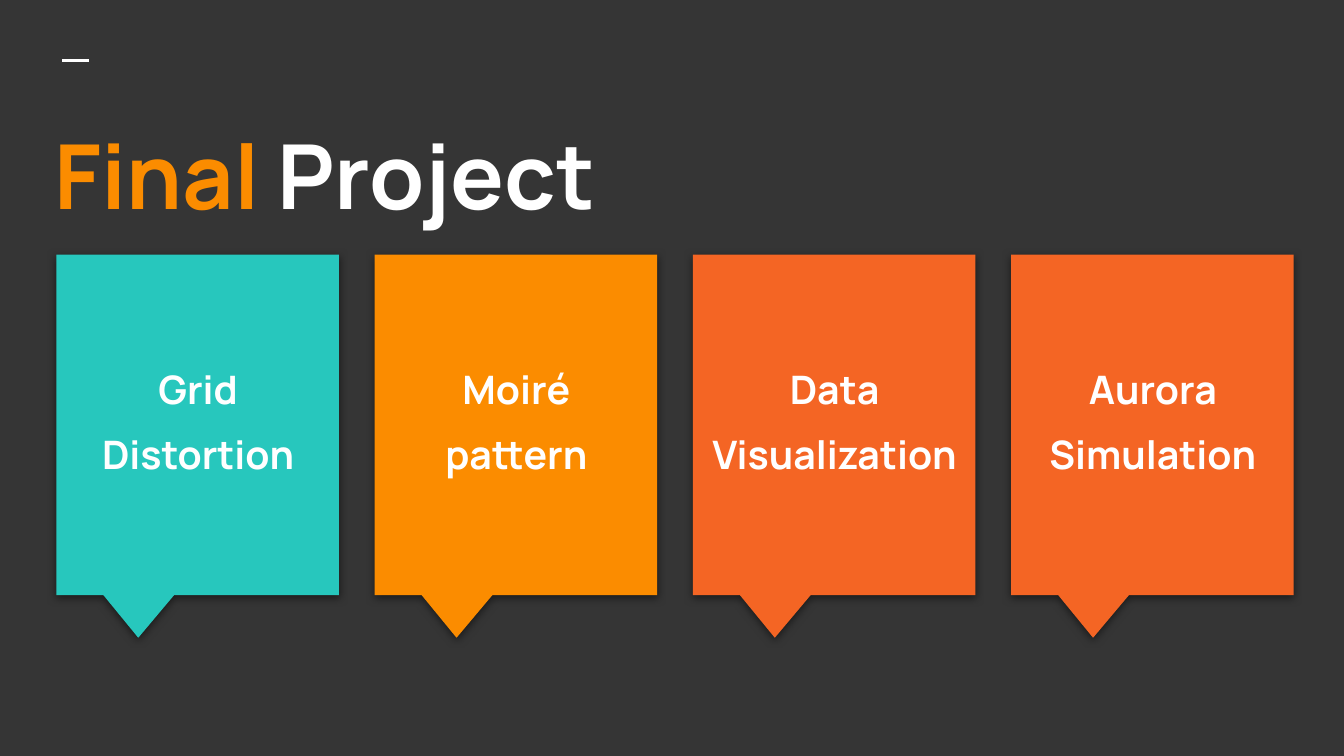
import pptx
import pptx.dml.color
import pptx.enum.dml
import pptx.enum.shapes
import pptx.enum.text
import pptx.oxml
import pptx.oxml.ns
import pptx.util

Pt = pptx.util.Pt
ANCHOR = pptx.enum.text.MSO_ANCHOR
FONT = "Manrope"
WHITE = "FFFFFF"
ORANGE = "FB8C00"
CARDS = [
    ("Grid", "Distortion", "27C7BD"),
    ("Moiré", "pattern", ORANGE),
    ("Data", "Visualization", "F46524"),
    ("Aurora", "Simulation", "F46524"),
]
CARD_LEFT, CARD_TOP, CARD_WIDTH, CARD_HEIGHT = 30.25, 136.4, 151.25, 182.5
CARD_PITCH = 170.5
LABEL_TOP, LABEL_WIDTH, LABEL_HEIGHT = 191.5, 206.6, 72.7
LABEL_SHIFT = -27.4


def rgb(value):
    return pptx.dml.color.RGBColor.from_string(value)


def add_effects(sp, content=""):
    ns = pptx.oxml.ns.nsdecls("a")
    xml = f"<a:effectLst {ns}>{content}</a:effectLst>"
    sp._element.spPr.append(pptx.oxml.parse_xml(xml))


def add_dash(s, x1, x2, y):
    line = s.shapes.add_connector(
        pptx.enum.shapes.MSO_CONNECTOR.STRAIGHT, Pt(x1), Pt(y), Pt(x2), Pt(y))
    line.line.color.rgb = rgb(WHITE)
    line.line.width = Pt(1.5)
    add_effects(line)


def add_text_box(s, left, top, width, height, anchor):
    sp = s.shapes.add_textbox(Pt(left), Pt(top), Pt(width), Pt(height))
    tf = sp.text_frame
    tf.word_wrap = True
    tf.vertical_anchor = anchor
    tf.margin_left = tf.margin_right = Pt(7.2)
    tf.margin_top = tf.margin_bottom = Pt(7.2)
    return tf


def format_run(r, size, color):
    r.font.name = FONT
    r.font.size = Pt(size)
    r.font.bold = True
    r.font.color.rgb = rgb(color)


def add_title(s):
    tf = add_text_box(s, 22.3, 56.2, 679, 80.6, ANCHOR.MIDDLE)
    p = tf.paragraphs[0]
    p.line_spacing = 0.9
    for text, color in (("Final", ORANGE), (" Project", WHITE)):
        r = p.add_run()
        r.text = text
        format_run(r, 48, color)


def add_callout(s, left, color):
    sp = s.shapes.add_shape(
        pptx.enum.shapes.MSO_SHAPE.RECTANGULAR_CALLOUT,
        Pt(left), Pt(CARD_TOP), Pt(CARD_WIDTH), Pt(CARD_HEIGHT))
    sp.adjustments[0] = -0.21
    sp.adjustments[1] = 0.625
    sp.fill.solid()
    sp.fill.fore_color.rgb = rgb(color)
    sp.line.fill.background()
    add_effects(sp, (
        f'<a:outerShdw blurRad="{Pt(4.5)}" dist="{Pt(1.5)}" dir="5400000" '
        'algn="bl" rotWithShape="0"><a:srgbClr val="000000">'
        '<a:alpha val="50000"/></a:srgbClr></a:outerShdw>'))


def add_label(s, left, lines):
    tf = add_text_box(s, left, LABEL_TOP, LABEL_WIDTH, LABEL_HEIGHT, ANCHOR.TOP)
    tf.text = "\n".join(lines)
    for p in tf.paragraphs:
        p.alignment = pptx.enum.text.PP_ALIGN.CENTER
        p.line_spacing = 0.9
        format_run(p.runs[0], 21, WHITE)
    tf.paragraphs[1].space_before = Pt(12)
    tf.paragraphs[1].space_after = Pt(12)


def main():
    prs = pptx.Presentation()
    prs.slide_width, prs.slide_height = Pt(720), Pt(405)
    s = prs.slides.add_slide(prs.slide_layouts[6])
    s.background.fill.solid()
    s.background.fill.fore_color.rgb = rgb("353535")
    add_dash(s, 33.5, 47.9, 32.5)
    add_title(s)
    for i, (first, second, color) in enumerate(CARDS):
        left = CARD_LEFT + i * CARD_PITCH
        add_callout(s, left, color)
        add_label(s, left + LABEL_SHIFT, (first, second))
    prs.save("out.pptx")


if __name__ == "__main__":
    main()
